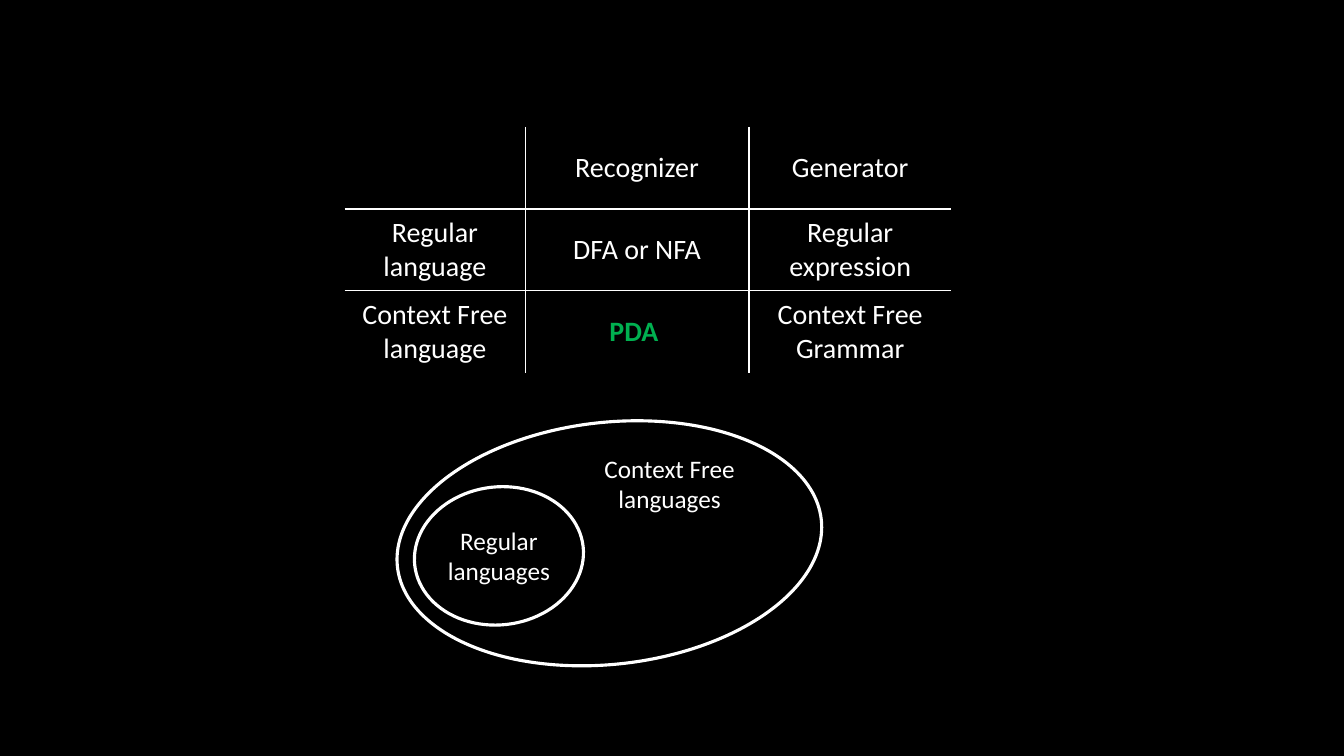
from dataclasses import dataclass

import pptx
import pptx.dml.color
import pptx.enum.shapes
import pptx.enum.text
import pptx.oxml
import pptx.oxml.ns
import pptx.shapes.group
import pptx.slide
import pptx.table
import pptx.text.text
import pptx.util
from pptx.util import Pt

FONT = "Calibri"
WHITE = "FFFFFF"
GREEN = "00B050"
BLACK = "000000"
TILT = -6.4
BLANK_LAYOUT = 6

COLUMN_WIDTHS = (129, 159.8, 144.7)
ROW_HEIGHT = 58.55
GRID = (
    ("", "Recognizer", "Generator"),
    ("Regular language", "DFA or NFA", "Regular expression"),
    ("Context Free language", "PDA ", "Context Free Grammar"),
)
HIGHLIGHT = (2, 1)


@dataclass(frozen=True)
class Area:
    left: float
    top: float
    width: float
    height: float

    def lengths(self) -> tuple[pptx.util.Length, ...]:
        return Pt(self.left), Pt(self.top), Pt(self.width), Pt(self.height)


@dataclass(frozen=True)
class LanguageClass:
    name: str
    ellipse: Area
    label: Area


LANGUAGE_CLASSES = (
    LanguageClass("Regular languages", Area(295.9, 347.8, 121, 98.6), Area(306, 371.5, 100.8, 51)),
    LanguageClass("Context Free languages", Area(283, 301.7, 304.6, 172.8), Area(422.3, 320.4, 112, 51)),
)


def rgb(value: str) -> pptx.dml.color.RGBColor:
    return pptx.dml.color.RGBColor.from_string(value)


def write_centred(frame: pptx.text.text.TextFrame, text: str, size: float,
                  color: str = WHITE, bold: bool = False) -> None:
    para = frame.paragraphs[0]
    para.alignment = pptx.enum.text.PP_ALIGN.CENTER
    span = para.add_run()
    span.text = text
    span.font.name = FONT
    span.font.size = Pt(size)
    span.font.bold = bold
    span.font.color.rgb = rgb(color)


def set_borders(cell: pptx.table._Cell, visible: dict[str, bool]) -> None:
    """Draw or hide each side; the sides are given in the order L, R, T, B."""
    properties = cell._tc.get_or_add_tcPr()
    for index, (side, shown) in enumerate(visible.items()):
        paint = f'<a:solidFill><a:srgbClr val="{WHITE}"/></a:solidFill>' if shown else "<a:noFill/>"
        border = pptx.oxml.parse_xml(
            f'<a:ln{side} {pptx.oxml.ns.nsdecls("a")} w="{Pt(1)}">{paint}</a:ln{side}>')
        properties.insert(index, border)


def add_grid(page: pptx.slide.Slide) -> None:
    last_row, last_column = len(GRID) - 1, len(COLUMN_WIDTHS) - 1
    area = Area(246.2, 90.7, sum(COLUMN_WIDTHS), ROW_HEIGHT * len(GRID))
    table = page.shapes.add_table(len(GRID), len(COLUMN_WIDTHS), *area.lengths()).table
    table.first_row = False
    table.horz_banding = False
    for column, width in zip(table.columns, COLUMN_WIDTHS):
        column.width = Pt(width)
    for row_index, texts in enumerate(GRID):
        table.rows[row_index].height = Pt(ROW_HEIGHT)
        for column_index, text in enumerate(texts):
            cell = table.cell(row_index, column_index)
            cell.fill.background()
            cell.vertical_anchor = pptx.enum.text.MSO_ANCHOR.MIDDLE
            set_borders(cell, {"L": column_index > 0, "R": column_index < last_column,
                               "T": row_index > 0, "B": row_index < last_row})
            if text:
                special = (row_index, column_index) == HIGHLIGHT
                write_centred(cell.text_frame, text, 20, GREEN if special else WHITE, special)


def add_ellipse(group: pptx.shapes.group.GroupShape, area: Area) -> None:
    ellipse = group.shapes.add_shape(pptx.enum.shapes.MSO_SHAPE.OVAL, *area.lengths())
    ellipse.rotation = TILT
    ellipse.shadow.inherit = False
    ellipse.fill.background()
    ellipse.line.color.rgb = rgb(WHITE)
    ellipse.line.width = Pt(2.25)


def add_label(group: pptx.shapes.group.GroupShape, text: str, area: Area) -> None:
    box = group.shapes.add_textbox(*area.lengths())
    box.text_frame.word_wrap = True
    box.text_frame.auto_size = pptx.enum.text.MSO_AUTO_SIZE.SHAPE_TO_FIT_TEXT
    write_centred(box.text_frame, text, 18)


def add_hierarchy(page: pptx.slide.Slide) -> None:
    group = page.shapes.add_group_shape()
    for language in LANGUAGE_CLASSES:
        add_ellipse(group, language.ellipse)
    for language in LANGUAGE_CLASSES:
        add_label(group, language.name, language.label)


def main() -> None:
    deck = pptx.Presentation()
    deck.slide_width, deck.slide_height = Pt(960), Pt(540)
    page = deck.slides.add_slide(deck.slide_layouts[BLANK_LAYOUT])
    page.background.fill.solid()
    page.background.fill.fore_color.rgb = rgb(BLACK)
    add_grid(page)
    add_hierarchy(page)
    deck.save("out.pptx")


if __name__ == "__main__":
    main()
